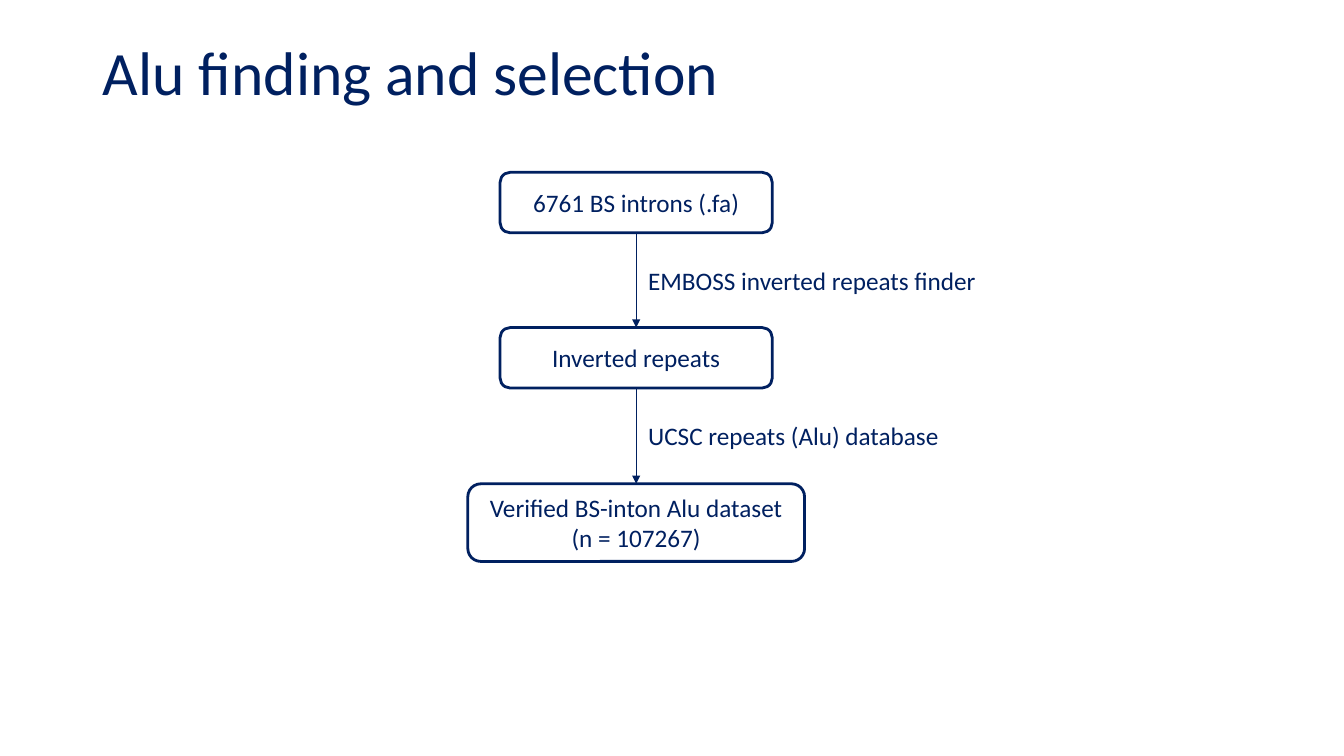
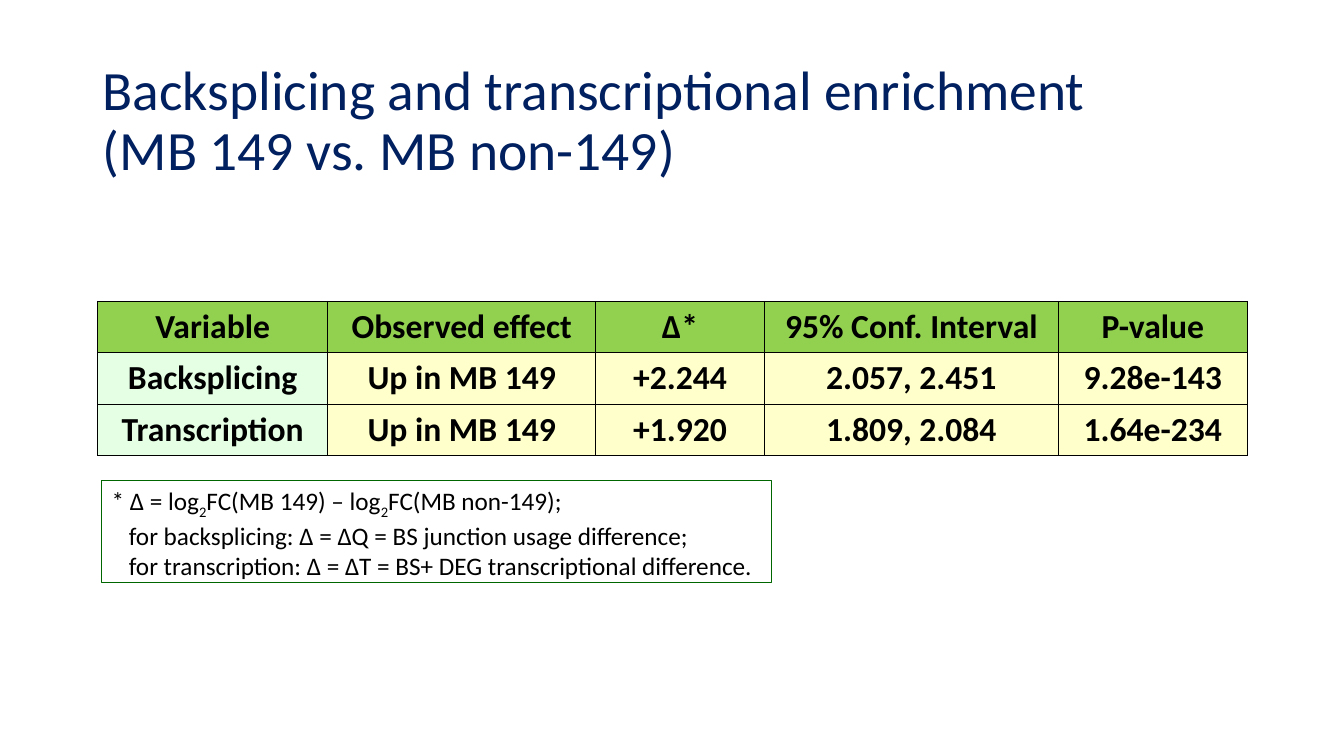
from lxml.etree import SubElement
from pptx import Presentation
from pptx.dml.color import RGBColor
from pptx.enum.shapes import MSO_CONNECTOR, MSO_SHAPE
from pptx.enum.text import MSO_ANCHOR as ANCHOR, MSO_AUTO_SIZE as AUTO, PP_ALIGN as ALIGN
from pptx.oxml.ns import qn
from pptx.util import Pt

PX = 9144  # 100 px to the inch
FONT = "Calibri"
NAVY = RGBColor(0x00, 0x20, 0x60)
BLACK = RGBColor(0, 0, 0)
WHITE = RGBColor(0xFF, 0xFF, 0xFF)
HEADER_GREEN = RGBColor(0x92, 0xD0, 0x50)
PALE_GREEN = RGBColor(0xE5, 0xFF, 0xE5)
PALE_YELLOW = RGBColor(0xFF, 0xFF, 0xCC)
NOTE_GREEN = RGBColor(0x00, 0x66, 0x00)


def write(frame, lines, size=18, color=NAVY, bold=False, align=ALIGN.LEFT,
          spacing=None, hanging=0):
    """Fill a frame; text between bars is subscript, later lines are indented."""
    for i, line in enumerate(lines):
        para = frame.paragraphs[0] if i == 0 else frame.add_paragraph()
        para.alignment = align
        if spacing:
            para.line_spacing = spacing
        if i and hanging:
            para._p.get_or_add_pPr().set("marL", str(hanging * PX))
        for j, part in enumerate(line.split("|")):
            for k, piece in enumerate(part.split("\n")):
                if k:
                    para.add_line_break()
                run = para.add_run()
                run.text = piece
                font = run.font
                font.name, font.size, font.bold = FONT, Pt(size), bold
                font.color.rgb = color
                if j % 2:
                    font._element.set("baseline", "-25000")


def add_titled_slide(text, top, height, size):
    slide = deck.slides.add_slide(deck.slide_layouts[5])
    title = slide.shapes.title
    title.left, title.top, title.width, title.height = (
        v * PX for v in (92, top, 1150, height))
    title.text_frame.auto_size = AUTO.NONE
    title.text_frame.vertical_anchor = ANCHOR.MIDDLE
    write(title.text_frame, [text], size=size, spacing=0.9)
    return slide


deck = Presentation()
deck.slide_width, deck.slide_height = 1333 * PX, 750 * PX

# Slide 1: selection flow
flow = add_titled_slide("Alu finding and selection", 36, 77, 44)
CENTER = 631
steps = [  # top, width, height, lines
    (171, 270, 60, ["6761 BS introns (.fa)"]),
    (325, 270, 60, ["Inverted repeats"]),
    (480, 334, 77, ["Verified BS-inton Alu dataset", "(n = 107267)"]),
]
for top, width, height, lines in steps:
    step = flow.shapes.add_shape(
        MSO_SHAPE.ROUNDED_RECTANGLE, (CENTER - width // 2) * PX, top * PX,
        width * PX, height * PX)
    step.shadow.inherit = False
    step.fill.solid()
    step.fill.fore_color.rgb = WHITE
    step.line.color.rgb = NAVY
    step.line.width = Pt(2)
    step.text_frame.word_wrap = True
    step.text_frame.vertical_anchor = ANCHOR.MIDDLE
    write(step.text_frame, lines, align=ALIGN.CENTER)

# Arrows between neighbouring steps, each with its tool
tools = [("EMBOSS inverted repeats finder", 349), ("UCSC repeats (Alu) database", 312)]
for upper, lower, (tool, width) in zip(steps, steps[1:], tools):
    start, end = upper[0] + upper[2], lower[0]
    arrow = flow.shapes.add_connector(
        MSO_CONNECTOR.STRAIGHT, CENTER * PX, start * PX, CENTER * PX, end * PX)
    arrow.line.color.rgb = NAVY
    arrow.line.width = Pt(0.5)
    SubElement(arrow.line._get_or_add_ln(), qn("a:tailEnd"), type="triangle")
    SubElement(arrow._element.spPr, qn("a:effectLst"))
    label = flow.shapes.add_textbox(
        (CENTER + 2) * PX, ((start + end) // 2 - 20) * PX, width * PX, 40 * PX)
    label.text_frame.word_wrap = False
    write(label.text_frame, [tool])

# Slide 2: enrichment table
enrichment = add_titled_slide(
    "Backsplicing and transcriptional enrichment\n(MB 149 vs. MB non-149)", 59, 125, 39.6)
results = [
    ["Variable", "Observed effect", "Δ*", "95% Conf. Interval", "P-value"],
    ["Backsplicing", "Up in MB 149", "+2.244", "2.057, 2.451", "9.28e-143"],
    ["Transcription", "Up in MB 149", "+1.920", "1.809, 2.084", "1.64e-234"],
]
col_widths = [228, 266, 167, 292, 187]
ROW_HEIGHT = 51
table = enrichment.shapes.add_table(
    len(results), len(col_widths), 97 * PX, 299 * PX,
    sum(col_widths) * PX, len(results) * ROW_HEIGHT * PX).table
table.horz_banding = False
for column, width in zip(table.columns, col_widths):
    column.width = width * PX
for r, row in enumerate(results):
    for c, value in enumerate(row):
        cell = table.cell(r, c)
        cell.vertical_anchor = ANCHOR.MIDDLE
        for side in ("lnL", "lnR", "lnT", "lnB"):
            border = SubElement(cell._tc.get_or_add_tcPr(), qn(f"a:{side}"), w=str(Pt(1)))
            SubElement(SubElement(border, qn("a:solidFill")), qn("a:srgbClr"), val=str(BLACK))
        cell.fill.solid()
        cell.fill.fore_color.rgb = (
            HEADER_GREEN if r == 0 else PALE_GREEN if c == 0 else PALE_YELLOW)
        write(cell.text_frame, [value], size=24, color=BLACK, bold=True, align=ALIGN.CENTER)

# Footnote on the delta
footnote = enrichment.shapes.add_textbox(101 * PX, 477 * PX, 664 * PX, 101 * PX)
footnote.line.color.rgb = NOTE_GREEN
footnote.line.width = Pt(0.75)
footnote.text_frame.word_wrap = True
write(footnote.text_frame, [
    "* Δ = log|2|FC(MB 149) – log|2|FC(MB non-149);",
    "for backsplicing: Δ = ΔQ = BS junction usage difference;",
    "for transcription: Δ = ΔT = BS+ DEG transcriptional difference.",
], color=BLACK, hanging=17)

deck.save("out.pptx")
